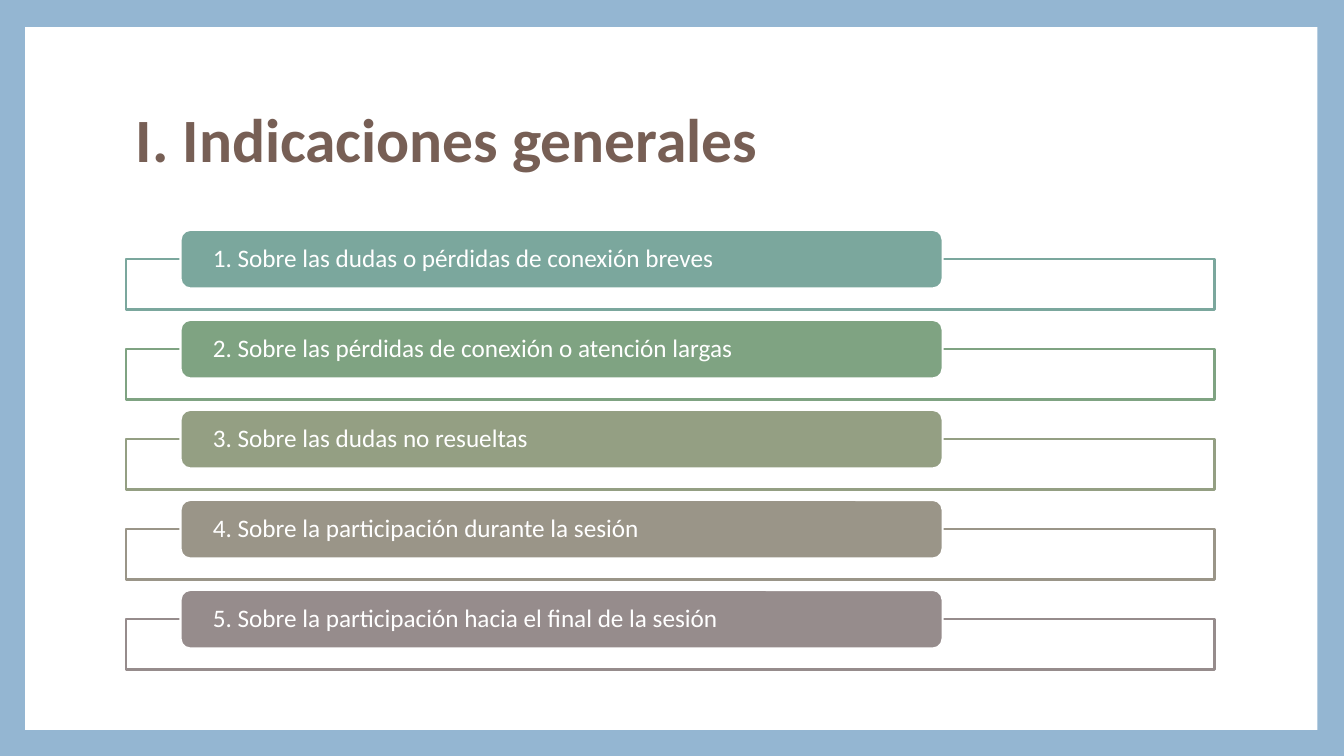
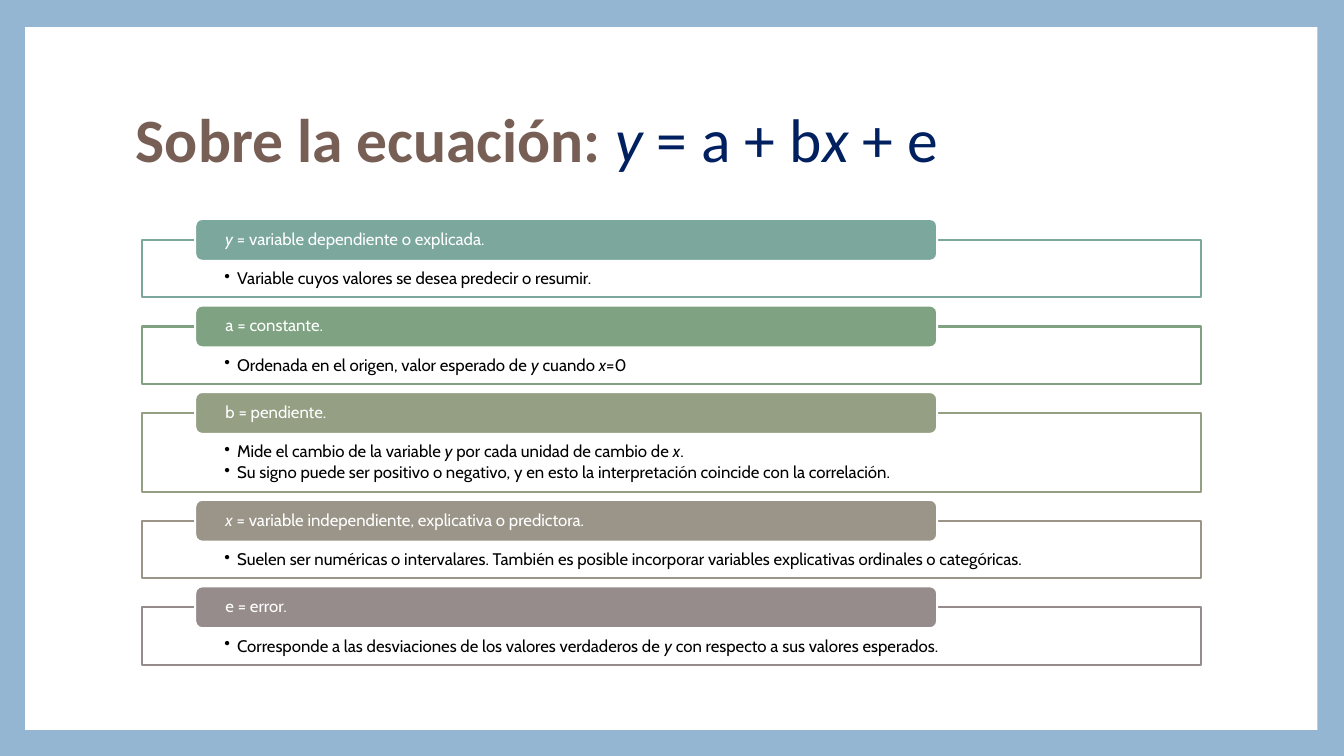
from lxml import etree
from pptx import Presentation
from pptx.dml.color import RGBColor
from pptx.enum import shapes, text
from pptx.oxml import ns
from pptx.util import Pt

BLUE = RGBColor(0x94, 0xB6, 0xD2)
BROWN = RGBColor(0x77, 0x5F, 0x55)
NAVY = RGBColor(0x00, 0x20, 0x60)
WHITE = RGBColor(0xFF, 0xFF, 0xFF)
BLACK = RGBColor(0x00, 0x00, 0x00)
TINTS = [
    RGBColor(0x7B, 0xA7, 0x9D),
    RGBColor(0x7F, 0xA3, 0x82),
    RGBColor(0x94, 0x9F, 0x83),
    RGBColor(0x9A, 0x95, 0x88),
    RGBColor(0x96, 0x8C, 0x8C),
]

RULES = [
    ("1. Sobre las dudas o pérdidas de conexión breves", []),
    ("2. Sobre las pérdidas de conexión o atención largas", []),
    ("3. Sobre las dudas no resueltas", []),
    ("4. Sobre la participación durante la sesión", []),
    ("5. Sobre la participación hacia el final de la sesión", []),
]
# Text between asterisks is italic.
TERMS = [
    ("*y* = variable dependiente o explicada.",
     ["Variable cuyos valores se desea predecir o resumir."]),
    ("a = constante.",
     ["Ordenada en el origen, valor esperado de *y* cuando *x*=0"]),
    ("b = pendiente.",
     ["Mide el cambio de la variable *y* por cada unidad de cambio de *x*.",
      "Su signo puede ser positivo o negativo, y en esto la interpretación "
      "coincide con la correlación."]),
    ("*x* = variable independiente, explicativa o predictora.",
     ["Suelen ser numéricas o intervalares. También es posible incorporar "
      "variables explicativas ordinales o categóricas."]),
    ("e = error.",
     ["Corresponde a las desviaciones de los valores verdaderos de *y* "
      "con respecto a sus valores esperados."]),
]


def add_runs(para, words, font, size, color, bold=False):
    """Append words to a paragraph, with *marked* parts in italics."""
    para.line_spacing = 0.9
    para.alignment = text.PP_ALIGN.LEFT
    for i, part in enumerate(words.split("*")):
        if part:
            run = para.add_run()
            run.text = part
            run.font.name = font
            run.font.size = Pt(size)
            run.font.color.rgb = color
            run.font.bold = bold
            run.font.italic = i % 2 == 1


def add_bullet(para):
    props = para._p.get_or_add_pPr()
    props.set("marL", str(Pt(9)))
    props.set("indent", str(Pt(-9)))
    mark = etree.SubElement(props, ns.qn("a:buChar"))
    mark.set("char", "•")


def set_frame(frame, anchor, side, top=0):
    frame.word_wrap = True
    frame.vertical_anchor = anchor
    frame.margin_left = frame.margin_right = Pt(side)
    frame.margin_top = Pt(top)
    frame.margin_bottom = Pt(0)


def add_box(slide, kind, place, fill, line=None):
    box = slide.shapes.add_shape(kind, *map(Pt, place))
    box.shadow.inherit = False
    box.fill.solid()
    box.fill.fore_color.rgb = fill
    if line is None:
        box.line.fill.background()
    else:
        box.line.color.rgb = line
        box.line.width = Pt(1.5)
    return box


def add_page(deck, *title):
    """Add a framed slide whose title is made of (words, color, bold) parts."""
    slide = deck.slides.add_slide(deck.slide_layouts[6])
    add_box(slide, shapes.MSO_SHAPE.RECTANGLE, (18, 19.4, 923, 502), WHITE)
    frame = slide.shapes.add_textbox(
        Pt(90), Pt(48.2), Pt(777.6), Pt(106.6)).text_frame
    set_frame(frame, text.MSO_ANCHOR.MIDDLE, 7.2)
    for words, color, bold in title:
        add_runs(frame.paragraphs[0], words, "Calibri", 44, color, bold)
    return slide


def add_list(slide, items, left, top, width, tab, gap, inset, font, size, base):
    """Stack outlined boxes, each with a tab centred on its top edge.

    tab is (indent, width, height); base is the height of a box with at
    most one bullet.
    """
    indent, span, tall = tab
    for (head, notes), tint in zip(items, TINTS):
        high = base + 15.2 * max(0, len(notes) - 1)
        edge = top + tall / 2
        box = add_box(slide, shapes.MSO_SHAPE.RECTANGLE,
                      (left, edge, width, high), WHITE, tint)
        frame = box.text_frame
        set_frame(frame, text.MSO_ANCHOR.TOP, 59, 21.6)
        for i, note in enumerate(notes):
            para = frame.add_paragraph() if i else frame.paragraphs[0]
            add_runs(para, note, font, size, BLACK)
            para.space_after = Pt(2)
            add_bullet(para)
        label = add_box(slide, shapes.MSO_SHAPE.ROUNDED_RECTANGLE,
                        (left + indent, top, span, tall), tint, WHITE)
        set_frame(label.text_frame, text.MSO_ANCHOR.MIDDLE, inset)
        add_runs(label.text_frame.paragraphs[0], head, font, size, WHITE)
        top = edge + high + gap


def main():
    deck = Presentation()
    deck.slide_width, deck.slide_height = Pt(960), Pt(540)
    back = deck.slide_master.background.fill
    back.solid()
    back.fore_color.rgb = BLUE

    slide = add_page(deck, ("I. Indicaciones generales", BROWN, True))
    add_list(slide, RULES, left=90, top=164.2, width=777.6,
             tab=(39, 544.3, 41.8), gap=7.4, inset=21,
             font="Calibri", size=18, base=36)

    slide = add_page(deck, ("Sobre la ecuación: ", BROWN, True),
                     ("*y* = a + b*x* + e", NAVY, False))
    add_list(slide, TERMS, left=101.4, top=156.4, width=756.8,
             tab=(38, 530, 30), gap=5.8, inset=20.2,
             font="Cabin", size=12, base=41)
    deck.save("out.pptx")


if __name__ == "__main__":
    main()
